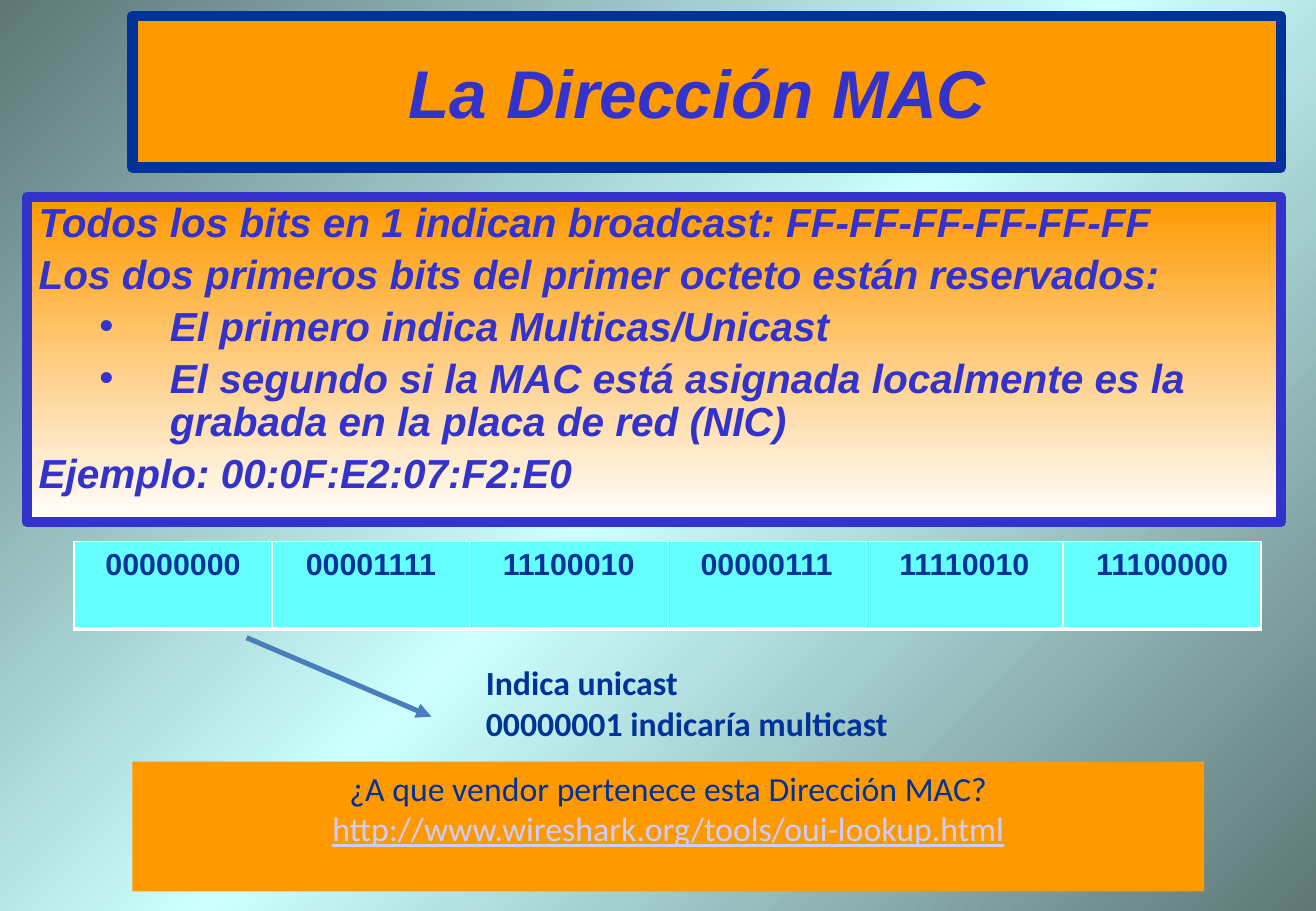
from copy import deepcopy

from lxml.etree import SubElement
from pptx import Presentation
from pptx.dml.color import RGBColor
from pptx.enum.shapes import MSO_CONNECTOR, MSO_SHAPE
from pptx.enum.text import MSO_ANCHOR, PP_ALIGN
from pptx.oxml.ns import qn
from pptx.util import Inches, Pt

ORANGE = RGBColor(0xFF, 0x99, 0x00)
NAVY = RGBColor(0x00, 0x33, 0x99)
INDIGO = RGBColor(0x33, 0x33, 0xCC)
CYAN = RGBColor(0x66, 0xFF, 0xFF)
WHITE = RGBColor(0xFF, 0xFF, 0xFF)
SLATE = RGBColor(0x5E, 0x76, 0x76)
PALE_CYAN = RGBColor(0xCC, 0xFF, 0xFF)
LAVENDER = RGBColor(0xCC, 0xCC, 0xFF)
STEEL = RGBColor(0x4A, 0x7E, 0xBB)

HEADING = {"name": "Arial", "size": Pt(40), "bold": True, "italic": True}
BODY = {**HEADING, "size": Pt(24)}
OCTET = {"name": "Arial", "size": Pt(18), "bold": True}
NOTE = {"name": "Calibri", "size": Pt(20)}


def format_font(font, color, values):
    for name, value in values.items():
        setattr(font, name, value)
    font.color.rgb = color


def add_box(left, top, width, height, line_color=None):
    box = slide.shapes.add_shape(MSO_SHAPE.RECTANGLE, Inches(left), Inches(top),
                                 Inches(width), Inches(height))
    box.shadow.inherit = False
    box.fill.solid()
    box.fill.fore_color.rgb = ORANGE
    if line_color is None:
        box.line.fill.background()
    else:
        box.line.color.rgb = line_color
        box.line.width = Pt(6)
    box.text_frame.word_wrap = True
    box.text_frame.vertical_anchor = MSO_ANCHOR.TOP
    return box


presentation = Presentation()
presentation.slide_width = Inches(10.83)
presentation.slide_height = Inches(7.5)
slide = presentation.slides.add_slide(presentation.slide_layouts[6])

# Diagonal background with a third gradient stop
background = slide.background.fill
background.gradient()
background.gradient_angle = 315
stop_list = slide.element.find(".//" + qn("a:gsLst"))
stop_list.append(deepcopy(stop_list[-1]))
for stop, position, color in zip(background.gradient_stops, (0, 0.5, 1),
                                 (SLATE, PALE_CYAN, SLATE)):
    stop.position = position
    stop.color.rgb = color

# Title
title = add_box(1.09, 0.13, 9.45, 1.25, NAVY)
title.text_frame.vertical_anchor = MSO_ANCHOR.MIDDLE
paragraph = title.text_frame.paragraphs[0]
paragraph.text = "La Dirección MAC "
paragraph.alignment = PP_ALIGN.CENTER
format_font(paragraph.font, INDIGO, HEADING)

# Explanation with bullets
body = add_box(0.22, 1.62, 10.32, 2.68, INDIGO)
body.fill.gradient()
body.fill.gradient_angle = 270
for stop, position, color in zip(body.fill.gradient_stops, (0, 1), (ORANGE, WHITE)):
    stop.position = position
    stop.color.rgb = color
body_lines = [
    (0, "Todos los bits en 1 indican broadcast: FF-FF-FF-FF-FF-FF"),
    (0, "Los dos primeros bits del primer octeto están reservados:"),
    (1, "El primero indica Multicas/Unicast"),
    (1, "El segundo si la MAC está asignada localmente es la grabada en la placa de red (NIC)"),
    (0, "Ejemplo: 00:0F:E2:07:F2:E0"),
]
for index, (level, text) in enumerate(body_lines):
    frame = body.text_frame
    paragraph = frame.add_paragraph() if index else frame.paragraphs[0]
    paragraph.text = text
    paragraph.level = level
    paragraph.alignment = PP_ALIGN.LEFT
    paragraph.line_spacing = 0.9
    paragraph.space_before = Pt(4.8 if index else 0)
    margin, indent = ((0.67, -0.67), (1.08, -0.58))[level]
    properties = paragraph._p.get_or_add_pPr()
    properties.set("marL", str(Inches(margin)))
    properties.set("indent", str(Inches(indent)))
    if level:
        SubElement(properties, qn("a:buFont"), typeface="Arial")
        SubElement(properties, qn("a:buChar"), char="•")
    else:
        SubElement(properties, qn("a:buNone"))
    format_font(paragraph.font, INDIGO, BODY)

# Octets in binary
octets = ["00000000", "00001111", "11100010", "00000111", "11110010", "11100000"]
table = slide.shapes.add_table(1, len(octets), Inches(0.61), Inches(4.46),
                               Inches(9.77), Inches(0.72)).table
for cell, octet in zip(table.rows[0].cells, octets):
    paragraph = cell.text_frame.paragraphs[0]
    paragraph.text = octet
    paragraph.alignment = PP_ALIGN.CENTER
    format_font(paragraph.font, NAVY, OCTET)
    properties = cell._tc.get_or_add_tcPr()
    for side, width in (("L", 1), ("R", 1), ("T", 1), ("B", 3)):
        border = SubElement(properties, qn(f"a:ln{side}"), w=str(Pt(width)))
        border_fill = SubElement(border, qn("a:solidFill"))
        SubElement(border_fill, qn("a:srgbClr"), val=str(WHITE))
    cell.fill.solid()
    cell.fill.fore_color.rgb = CYAN

# Arrow from the first octet to its explanation
arrow = slide.shapes.add_connector(MSO_CONNECTOR.STRAIGHT, Inches(2.03), Inches(5.25),
                                   Inches(3.55), Inches(5.9))
arrow.line.color.rgb = STEEL
arrow.line.width = Pt(3)
SubElement(arrow.line._get_or_add_ln(), qn("a:tailEnd"), type="triangle")
SubElement(arrow._element.spPr, qn("a:effectLst"))

# Explanation of the first octet and vendor question
unicast = slide.shapes.add_textbox(Inches(3.9), Inches(5.4), Inches(3.51), Inches(0.77))
unicast.text_frame.word_wrap = False
vendor = add_box(1.09, 6.27, 8.82, 1.07)
notes = [
    (unicast, PP_ALIGN.LEFT, [
        ("Indica unicast", NAVY, {"bold": True}),
        ("00000001 indicaría multicast", NAVY, {"bold": True}),
    ]),
    (vendor, PP_ALIGN.CENTER, [
        ("¿A que vendor pertenece esta Dirección MAC?", NAVY, {}),
        ("http://www.wireshark.org/tools/oui-lookup.html", LAVENDER, {"underline": True}),
    ]),
]
for shape, alignment, lines in notes:
    for index, (text, color, emphasis) in enumerate(lines):
        frame = shape.text_frame
        paragraph = frame.add_paragraph() if index else frame.paragraphs[0]
        paragraph.text = text
        paragraph.alignment = alignment
        format_font(paragraph.font, color, {**NOTE, **emphasis})

presentation.save("out.pptx")
